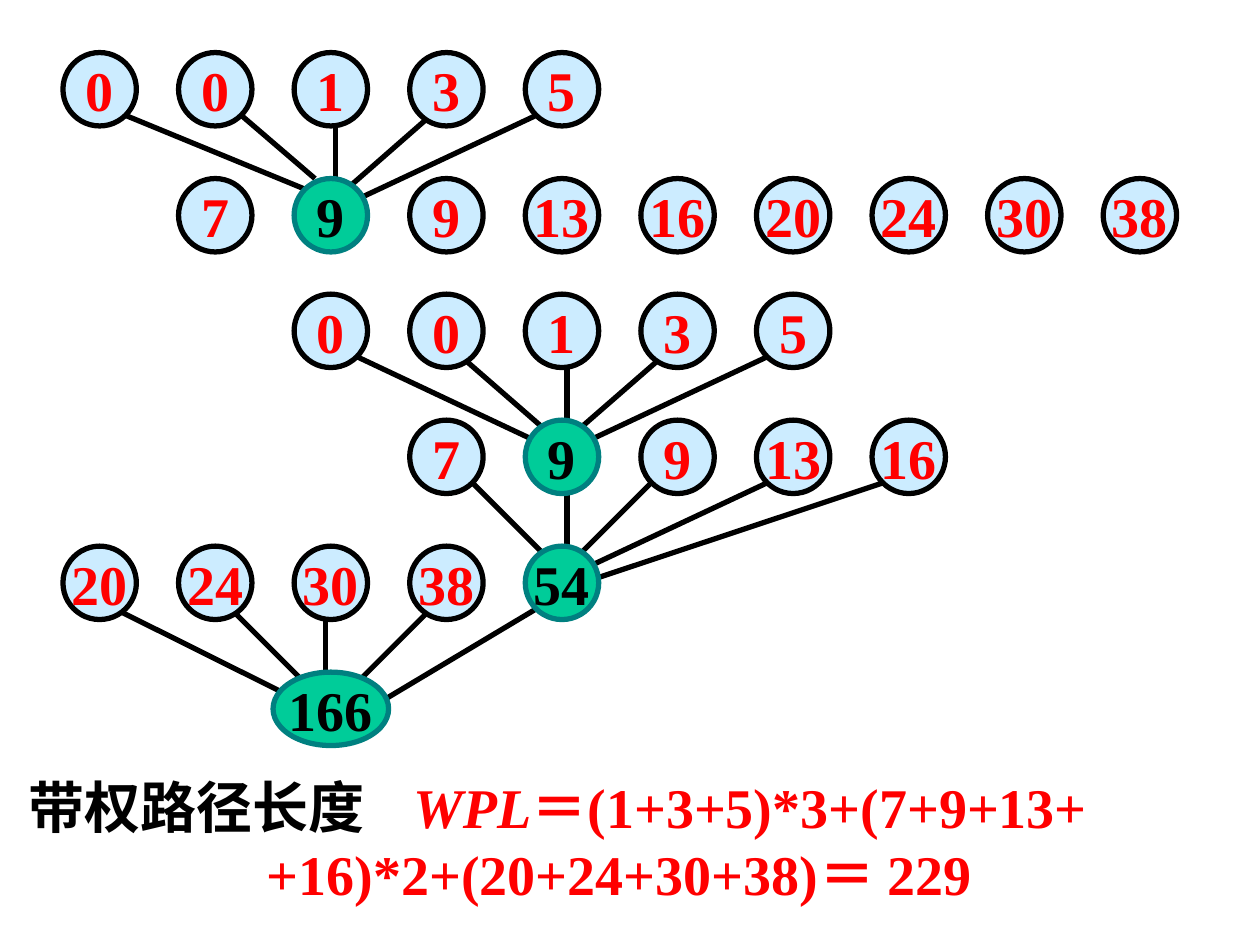
from lxml.etree import SubElement
from pptx import Presentation
from pptx.dml.color import RGBColor
from pptx.enum.shapes import MSO_CONNECTOR, MSO_SHAPE
from pptx.enum.text import MSO_ANCHOR, PP_ALIGN
from pptx.oxml.ns import qn
from pptx.util import Cm, Pt

BLACK, RED = "000000", "FF0000"
LEAF_FILL, MERGED_FILL, MERGED_EDGE = "CCECFF", "00CC99", "008080"
FIRST_COLUMN, COLUMN_STEP, DIAMETER = 1.27, 2.33, 1.48
ROOT_WIDTH = 2.33

LEVELS = [
    (1.06, 0, "0 0 1 3 5", None),
    (3.6, 1, "7 9 9 13 16 20 24 30 38", 1),
    (5.93, 2, "0 0 1 3 5", None),
    (8.47, 3, "7 9 9 13 16", 1),
    (11.01, 0, "20 24 30 38 54", 4),
    (13.55, 2, "166", 0),
]

BRANCHES = [
    (2.54, 2.33, 6.14, 3.81),
    (4.87, 2.33, 6.35, 3.6),
    (6.77, 2.54, 6.77, 3.6),
    (8.68, 2.33, 6.99, 3.81),
    (10.8, 2.33, 7.2, 4.02),
    (6.77, 6.99, 10.8, 8.89),
    (9.31, 7.2, 11.01, 8.68),
    (11.43, 7.41, 11.43, 8.47),
    (13.34, 7.2, 11.64, 8.68),
    (15.45, 7.2, 11.85, 8.89),
    (9.53, 9.74, 11.01, 11.22),
    (11.43, 9.95, 11.43, 11.01),
    (13.12, 9.74, 11.64, 11.22),
    (15.45, 9.74, 11.85, 11.43),
    (17.78, 9.74, 12.07, 11.64),
    (2.33, 12.28, 5.72, 13.97),
    (4.66, 12.28, 6.14, 13.76),
    (6.56, 12.49, 6.56, 13.55),
    (8.68, 12.28, 7.2, 13.76),
    (10.8, 12.28, 7.62, 14.18),
]


def color(value):
    """Turn a hex string into a colour."""
    return RGBColor.from_string(value)


def add_run(paragraph, text, ink, italic=False):
    """Append a bold run in the common face and size."""
    run = paragraph.add_run()
    run.text = text
    run.font.name = "Times New Roman"
    run.font.size = Pt(32)
    run.font.bold = True
    run.font.italic = italic
    run.font.color.rgb = color(ink)


def add_branch(slide, x1, y1, x2, y2):
    """Draw a line from a child to its parent."""
    branch = slide.shapes.add_connector(
        MSO_CONNECTOR.STRAIGHT, Cm(x1), Cm(y1), Cm(x2), Cm(y2))
    branch.line.color.rgb = color(BLACK)
    branch.line.width = Pt(3)
    SubElement(branch._element.spPr, qn("a:effectLst"))


def add_node(slide, weight, center, top, merged):
    """Draw a tree node labelled with its weight."""
    width = ROOT_WIDTH if len(weight) > 2 else DIAMETER
    node = slide.shapes.add_shape(
        MSO_SHAPE.OVAL, Cm(center - width / 2), Cm(top), Cm(width), Cm(DIAMETER))
    node.shadow.inherit = False
    node.fill.solid()
    node.fill.fore_color.rgb = color(MERGED_FILL if merged else LEAF_FILL)
    node.line.color.rgb = color(MERGED_EDGE if merged else BLACK)
    node.line.width = Pt(3)
    frame = node.text_frame
    frame.word_wrap = False
    frame.vertical_anchor = MSO_ANCHOR.MIDDLE
    label = frame.paragraphs[0]
    label.alignment = PP_ALIGN.CENTER
    add_run(label, weight, BLACK if merged else RED)


def add_level(slide, top, first_column, weights, merged_index):
    """Place one row of nodes on the column grid."""
    for index, weight in enumerate(weights.split()):
        center = FIRST_COLUMN + (first_column + index) * COLUMN_STEP + DIAMETER / 2
        add_node(slide, weight, center, top, index == merged_index)


def add_path_length(slide):
    """Write the weighted path length in two lines."""
    box = slide.shapes.add_textbox(Cm(0.33), Cm(15.45), Cm(24.23), Cm(2.97))
    frame = box.text_frame
    frame.word_wrap = True
    opening = frame.paragraphs[0]
    tabs = SubElement(opening._p.get_or_add_pPr(), qn("a:tabLst"))
    SubElement(tabs, qn("a:tab"), pos=str(Cm(7.75)), algn="l")
    add_run(opening, "带权路径长度\t", BLACK)
    add_run(opening, "WPL", RED, italic=True)
    add_run(opening, "＝(1+3+5)*3+(7+9+13+", RED)
    ending = frame.add_paragraph()
    ending._p.get_or_add_pPr().set("marL", str(Cm(4.8)))
    add_run(ending, "+16)*2+(20+24+30+38)＝ 229", RED)


def main():
    """Build the slide and save it."""
    deck = Presentation()
    deck.slide_width, deck.slide_height = Cm(25.4), Cm(19.05)
    slide = deck.slides.add_slide(deck.slide_layouts[6])
    for branch in BRANCHES:
        add_branch(slide, *branch)
    add_path_length(slide)
    for level in LEVELS:
        add_level(slide, *level)
    deck.save("out.pptx")


if __name__ == "__main__":
    main()
